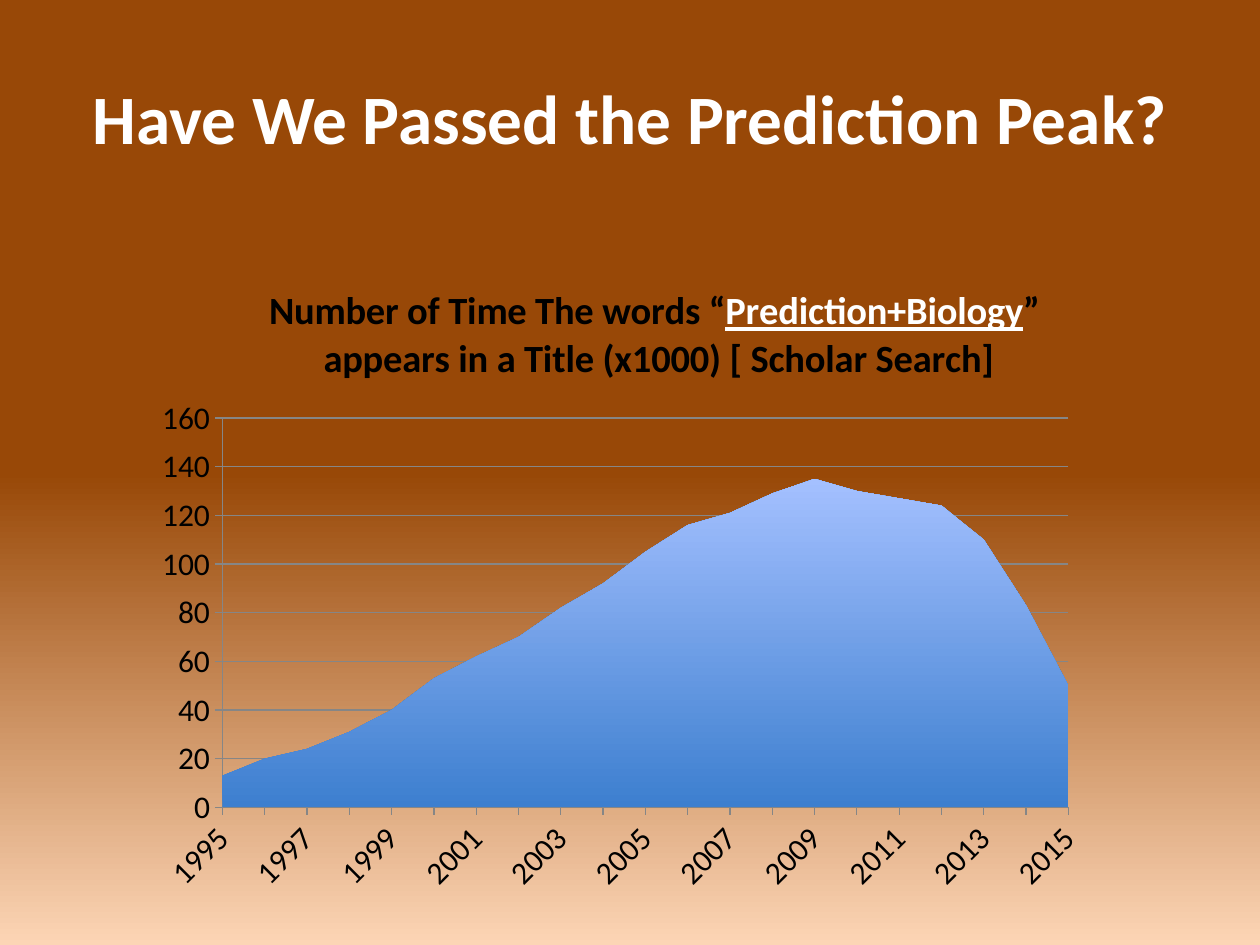
from lxml import etree
from pptx import Presentation
from pptx.chart.data import CategoryChartData
from pptx.dml.color import RGBColor
from pptx.enum.chart import XL_CHART_TYPE, XL_TICK_MARK
from pptx.enum.text import MSO_ANCHOR, PP_ALIGN
from pptx.oxml.ns import qn
from pptx.util import Cm, Pt

AREA = XL_CHART_TYPE.AREA_STACKED
OUTSIDE = XL_TICK_MARK.OUTSIDE
CENTER = PP_ALIGN.CENTER
MIDDLE = MSO_ANCHOR.MIDDLE

WHITE = RGBColor(0xFF, 0xFF, 0xFF)
BLACK = RGBColor(0, 0, 0)
PEACH = RGBColor(0xFC, 0xD5, 0xB5)
BROWN = RGBColor(0x98, 0x48, 0x07)
DEEP_BLUE = RGBColor(0x3D, 0x7F, 0xCF)
PALE_BLUE = RGBColor(0xA4, 0xC0, 0xFF)
GRAY = RGBColor(0x86, 0x86, 0x86)
FONT = "Calibri"

TITLE = "Have We Passed the Prediction Peak?"
CHART_TITLE = [
    [("Number of Time The words “", False), ("Prediction+Biology", True), ("” ", False)],
    [("appears in a Title (x1000) [ Scholar Search]", False)],
]
FIRST_YEAR = 1995
COUNTS = [13, 20, 24, 31, 40, 53, 62, 70, 82, 92, 105,
          116, 121, 129, 135, 130, 127, 124, 110, 83, 50]
TITLE_PLACE = {"xMode": "edge", "yMode": "edge", "x": 0.13, "y": 0.04}
PLOT_PLACE = {"layoutTarget": "inner", "xMode": "edge", "yMode": "edge",
              "x": 0.09, "y": 0.25, "w": 0.79, "h": 0.6}


def style_font(font, size, color, bold):
    font.name = FONT
    font.size = Pt(size)
    font.bold = bold
    font.color.rgb = color


def fill_upward(fill, low, high, end):
    fill.gradient()
    fill.gradient_angle = 90
    for stop, color, position in zip(fill.gradient_stops, (low, high), (0, end)):
        stop.color.rgb = color
        stop.position = position


def set_layout(element, index, place):
    for old in element.findall(qn("c:layout")):
        element.remove(old)
    layout = etree.Element(qn("c:layout"))
    manual = etree.SubElement(layout, qn("c:manualLayout"))
    for name, value in place.items():
        etree.SubElement(manual, qn("c:" + name)).set("val", str(value))
    element.insert(index, layout)


def add_title(page):
    box = page.shapes.title
    box.left, box.top, box.width, box.height = Cm(1.27), Cm(0.76), Cm(22.86), Cm(3.18)
    box.text_frame.vertical_anchor = MIDDLE
    para = box.text_frame.paragraphs[0]
    para.alignment = CENTER
    span = para.add_run()
    span.text = TITLE
    style_font(span.font, 39.6, WHITE, True)


def add_chart_title(chart):
    frame = chart.chart_title.text_frame
    for number, spans in enumerate(CHART_TITLE):
        para = frame.add_paragraph() if number else frame.paragraphs[0]
        para.alignment = CENTER
        for text, marked in spans:
            span = para.add_run()
            span.text = text
            style_font(span.font, 22, WHITE if marked else BLACK, True)
            span.font.underline = marked
    chart.chart_title.include_in_layout = False
    set_layout(chart.chart_title._element, 1, TITLE_PLACE)


def style_axes(chart):
    years, counts = chart.category_axis, chart.value_axis
    for axis in (years, counts):
        axis.major_tick_mark = OUTSIDE
        axis.format.line.color.rgb = GRAY
        axis.format.line.width = Pt(0.75)
        style_font(axis.tick_labels.font, 18, BLACK, False)
    counts.minimum_scale, counts.maximum_scale, counts.major_unit = 0, 160, 20
    counts.has_major_gridlines = True
    counts.major_gridlines.format.line.color.rgb = GRAY
    counts.major_gridlines.format.line.width = Pt(0.75)
    years.has_major_gridlines = False
    element = years._element
    element.find(qn("c:txPr")).find(qn("a:bodyPr")).set("rot", "-2700000")
    skip = etree.Element(qn("c:tickLblSkip"))
    skip.set("val", "2")
    element.find(qn("c:lblOffset")).addnext(skip)


def add_area_chart(page):
    data = CategoryChartData()
    data.categories = [str(FIRST_YEAR + step) for step in range(len(COUNTS))]
    data.add_series("Series 1", COUNTS)
    chart = page.shapes.add_chart(
        AREA, Cm(2.54), Cm(5.16), Cm(21.59), Cm(13.08), data).chart
    style_font(chart.font, 18, BLACK, False)
    chart.has_legend = False
    plot = chart.plots[0]
    plot.vary_by_categories = False
    fill_upward(plot.series[0].format.fill, DEEP_BLUE, PALE_BLUE, 1)
    add_chart_title(chart)
    style_axes(chart)
    set_layout(plot._element.getparent(), 0, PLOT_PLACE)


def main():
    deck = Presentation()
    deck.slide_width, deck.slide_height = Cm(25.4), Cm(19.05)
    page = deck.slides.add_slide(deck.slide_layouts[5])
    fill_upward(page.background.fill, PEACH, BROWN, 0.5)
    add_title(page)
    add_area_chart(page)
    deck.save("out.pptx")


if __name__ == "__main__":
    main()
